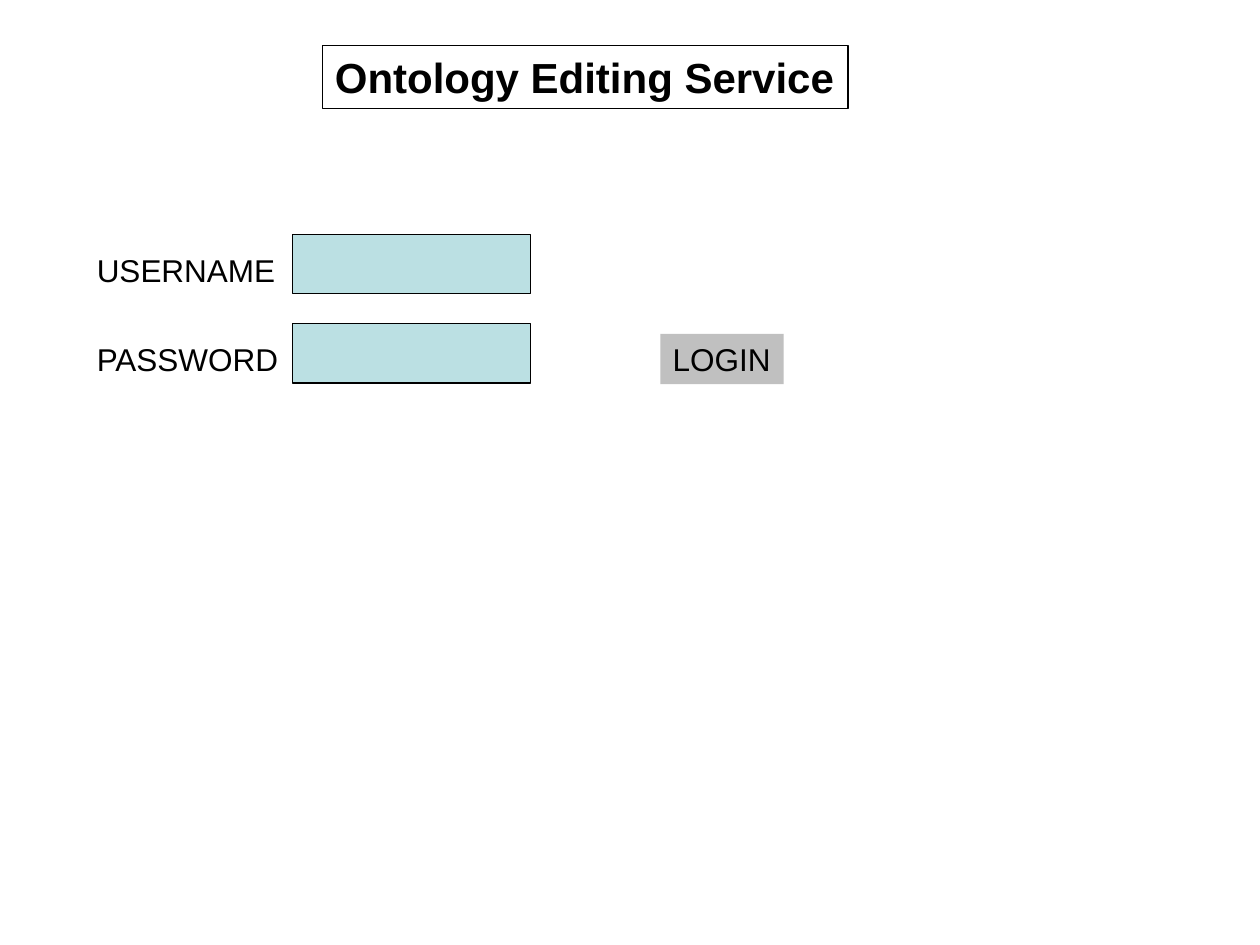
"""Build a login form slide for an ontology editing service."""
from pptx import Presentation
from pptx.dml.color import RGBColor
from pptx.enum.shapes import MSO_SHAPE
from pptx.enum.text import MSO_ANCHOR, MSO_AUTO_SIZE, PP_ALIGN
from pptx.util import Inches, Pt

RECT = MSO_SHAPE.RECTANGLE
TOP = MSO_ANCHOR.TOP
LEFT = PP_ALIGN.LEFT
GROW = MSO_AUTO_SIZE.SHAPE_TO_FIT_TEXT

THEME = {
    "font": "Arial",
    "ink": RGBColor(0x00, 0x00, 0x00),
    "field": RGBColor(0xBB, 0xE0, 0xE3),
    "button": RGBColor(0xC0, 0xC0, 0xC0),
    "title": Pt(24),
    "body": Pt(18),
    "line": Pt(0.75),
}


def add_box(slide, place, fill=None, line=True):
    box = slide.shapes.add_shape(RECT, *map(Inches, place))
    box.shadow.inherit = False
    if fill:
        box.fill.solid()
        box.fill.fore_color.rgb = THEME[fill]
    else:
        box.fill.background()
    if line:
        box.line.color.rgb = THEME["ink"]
        box.line.width = THEME["line"]
    else:
        box.line.fill.background()
    return box


def set_text(shape, text, size="body", bold=False, wrap=False):
    frame = shape.text_frame
    frame.text = text
    para = frame.paragraphs[0]
    para.alignment = LEFT
    layout = {"word_wrap": wrap, "auto_size": GROW, "vertical_anchor": TOP}
    for name, value in layout.items():
        setattr(frame, name, value)
    font = para.runs[0].font
    style = {"name": THEME["font"], "size": THEME[size], "bold": bold}
    for name, value in style.items():
        setattr(font, name, value)
    font.color.rgb = THEME["ink"]


deck = Presentation()
deck.slide_width, deck.slide_height = Inches(10), Inches(7.5)
slide = deck.slides.add_slide(deck.slide_layouts[6])

first, step = 1.86, 0.71
for row, name in enumerate(["USERNAME", "PASSWORD"]):
    top = first + row * step
    add_box(slide, (2.32, top, 1.89, 0.47), "field")
    place = (0.67, top + 0.08, 1.66, 0.4)
    set_text(slide.shapes.add_textbox(*map(Inches, place)), name)

login = add_box(slide, (5.24, first + step + 0.08, 0.98, 0.4), "button", line=False)
set_text(login, "LOGIN")

title = add_box(slide, (2.56, 0.36, 4.17, 0.5))
set_text(title, "Ontology Editing Service", "title", bold=True, wrap=True)

deck.save("out.pptx")
